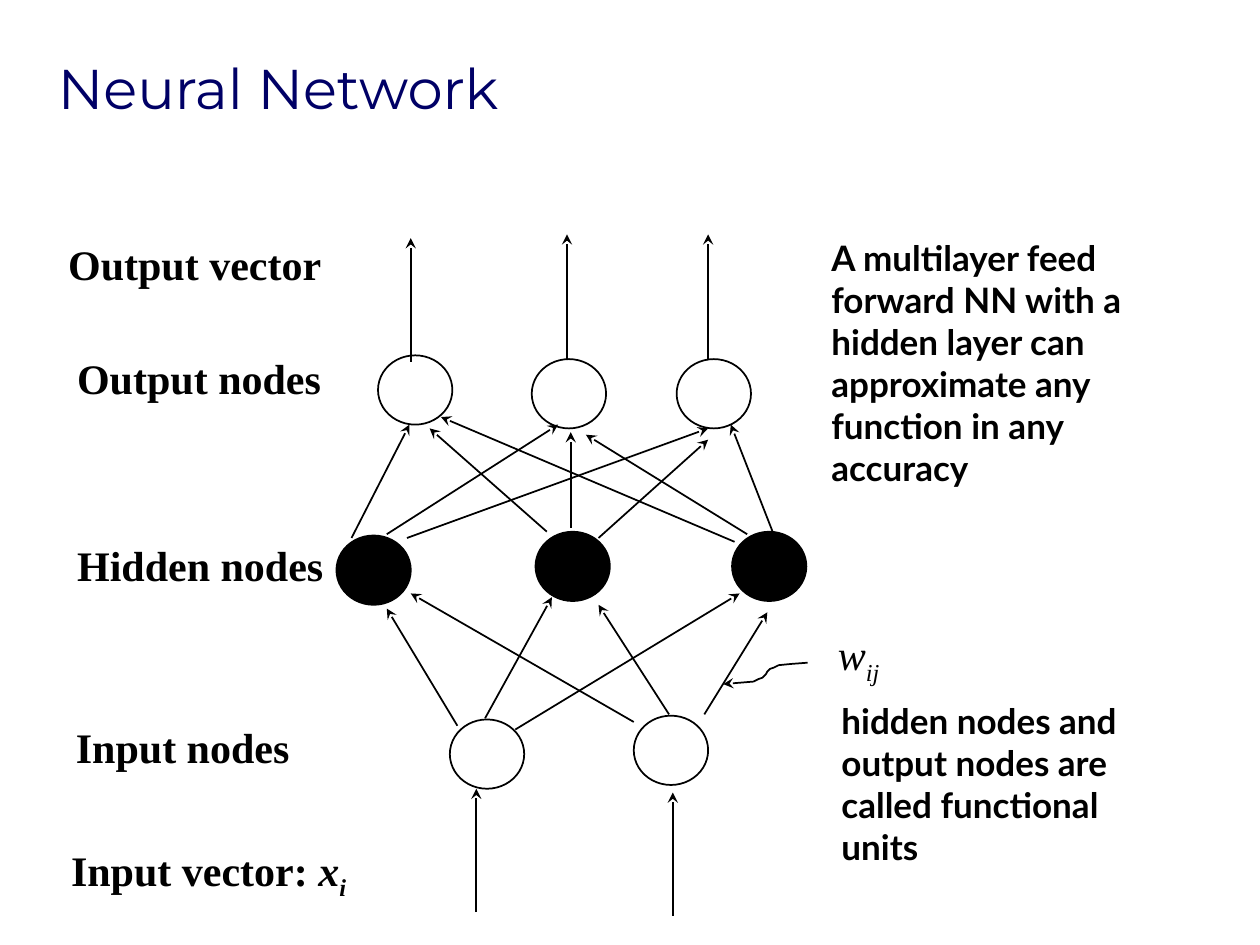
from lxml import etree
from pptx import Presentation
from pptx.dml.color import RGBColor
from pptx.enum.shapes import MSO_CONNECTOR, MSO_SHAPE
from pptx.enum.text import MSO_ANCHOR, MSO_AUTO_SIZE, PP_ALIGN
from pptx.oxml.ns import qn
from pptx.util import Emu, Pt

PX = 9144  # EMU in one px, 100 px to the inch
OVAL = MSO_SHAPE.OVAL
STRAIGHT = MSO_CONNECTOR.STRAIGHT
LEFT, CENTER = PP_ALIGN.LEFT, PP_ALIGN.CENTER
TOP, BOTTOM = MSO_ANCHOR.TOP, MSO_ANCHOR.BOTTOM
FIT_SHAPE = MSO_AUTO_SIZE.SHAPE_TO_FIT_TEXT
TITLE_ONLY = 5

NODE_WIDTH, NODE_HEIGHT = 59, 55
OUTPUT_NODES = [(300, 282), (422, 285), (537, 285)]
HIDDEN_NODES = [(425, 422), (581, 422), (267, 425)]
INPUT_NODES = [(357, 571), (503, 568)]

# Arrows: start x, start y, end x, end y
INPUT_TO_HIDDEN = [
    (363, 576, 307, 483), (385, 570, 438, 474), (409, 579, 587, 471),
    (503, 573, 326, 471), (531, 567, 475, 480), (559, 567, 609, 486),
]
HIDDEN_TO_OUTPUT = [
    (279, 427, 325, 337), (307, 424, 443, 337), (323, 427, 562, 340),
    (583, 430, 350, 331), (614, 424, 580, 337), (593, 424, 465, 345),
    (434, 422, 341, 340), (453, 419, 453, 343), (475, 427, 562, 349),
]
# Vertical arrows: x, start y, end y
VECTOR_ARROWS = [
    (378, 724, 626), (534, 727, 629),
    (326, 287, 189), (450, 285, 186), (562, 285, 186),
]
WEIGHT_POINTER = [
    (641, 526), (628, 527), (618, 528), (614, 530), (611, 531), (609, 533),
    (608, 535), (607, 536), (605, 538), (602, 539), (598, 541), (586, 542),
    (574, 543),
]

LABELS = [
    ("Output nodes", (51, 275, 214, 50)),
    ("Input nodes", (50, 568, 190, 50)),
    ("Hidden nodes", (51, 423, 216, 50)),
    ("Output vector", (44, 184, 221, 50)),
]
NOTES = [
    ("A multilayer feed forward NN with a hidden layer can approximate "
     "any function in any accuracy", (650, 183, 277, 210)),
    ("hidden nodes and output nodes are called functional units",
     (658, 550, 277, 144)),
]


def color(hex_string):
    return RGBColor.from_string(hex_string)


class NetworkSlide:
    title_font, label_font, note_font = "Montserrat", "Times New Roman", "Lato"
    title_color, ink = "000066", "000000"
    title_size, label_size, note_size = 32, 24, 20
    line_width = 1

    def __init__(self, presentation):
        layout = presentation.slide_layouts[TITLE_ONLY]
        self.slide = presentation.slides.add_slide(layout)
        self.diagram = self.slide.shapes.add_group_shape().shapes

    def add_run(self, paragraph, text, font, size, ink,
                bold=False, italic=False, subscript=False):
        run = paragraph.add_run()
        run.text = text
        run.font.name = font
        run.font.size = Pt(size)
        run.font.color.rgb = color(ink)
        run.font.bold, run.font.italic = bold, italic
        if subscript:
            run._r.get_or_add_rPr().set("baseline", "-25000")

    def style_line(self, shape, arrow=False):
        shape.line.color.rgb = color(self.ink)
        shape.line.width = Pt(self.line_width)
        if arrow:
            line = shape.line._get_or_add_ln()
            etree.SubElement(line, qn("a:tailEnd"), type="stealth")

    def title(self, text, box):
        shape = self.slide.shapes.title
        shape.left, shape.top, shape.width, shape.height = (
            Emu(value * PX) for value in box)
        frame = shape.text_frame
        frame.vertical_anchor = BOTTOM
        frame.auto_size = MSO_AUTO_SIZE.NONE
        paragraph = frame.paragraphs[0]
        paragraph.alignment = LEFT
        self.add_run(paragraph, text, self.title_font, self.title_size,
                     self.title_color)

    def text_box(self, box, alignment, wrap):
        shape = self.slide.shapes.add_textbox(*(value * PX for value in box))
        frame = shape.text_frame
        frame.word_wrap = wrap
        frame.auto_size = FIT_SHAPE
        frame.vertical_anchor = TOP
        paragraph = frame.paragraphs[0]
        paragraph.alignment = alignment
        return paragraph

    def label(self, box, *runs):
        paragraph = self.text_box(box, CENTER, False)
        for text, style in runs:
            self.add_run(paragraph, text, self.label_font, self.label_size,
                         self.ink, **style)

    def note(self, text, box):
        paragraph = self.text_box(box, LEFT, True)
        self.add_run(paragraph, text, self.note_font, self.note_size,
                     self.ink, bold=True)

    def node(self, left, top, filled=False):
        shape = self.diagram.add_shape(
            OVAL, left * PX, top * PX, NODE_WIDTH * PX, NODE_HEIGHT * PX)
        shape.shadow.inherit = False
        if filled:
            shape.fill.solid()
            shape.fill.fore_color.rgb = color(self.ink)
        else:
            shape.fill.background()
        self.style_line(shape)

    def arrow(self, *ends):
        connector = self.diagram.add_connector(
            STRAIGHT, *(value * PX for value in ends))
        self.style_line(connector, arrow=True)
        etree.SubElement(connector._element.spPr, qn("a:effectLst"))

    def curved_arrow(self, points):
        builder = self.slide.shapes.build_freeform(*points[0], scale=PX)
        builder.add_line_segments(points[1:], close=False)
        shape = builder.convert_to_shape()
        shape.shadow.inherit = False
        shape.fill.background()
        self.style_line(shape, arrow=True)


def main():
    presentation = Presentation()
    presentation.slide_width = Emu(1000 * PX)
    presentation.slide_height = Emu(750 * PX)
    network = NetworkSlide(presentation)
    network.title("Neural Network", (36, 43, 633, 58))

    # Nodes of the three layers
    for position in OUTPUT_NODES:
        network.node(*position)
    for position in HIDDEN_NODES:
        network.node(*position, filled=True)
    for position in INPUT_NODES:
        network.node(*position)

    # Links between layers, then the vectors going in and out
    for ends in INPUT_TO_HIDDEN + HIDDEN_TO_OUTPUT:
        network.arrow(*ends)
    for x, start, end in VECTOR_ARROWS:
        network.arrow(x, start, x, end)

    # Layer labels
    bold = {"bold": True}
    for text, box in LABELS:
        network.label(box, (text, bold))
    network.label((46, 665, 239, 56), ("Input vector: ", bold),
                  ("x", {"bold": True, "italic": True}),
                  ("i", {"bold": True, "italic": True, "subscript": True}))

    # Weight symbol and its pointer
    network.label((655, 494, 53, 56), ("w", {"italic": True}),
                  ("ij", {"italic": True, "subscript": True}))
    network.curved_arrow(WEIGHT_POINTER)

    # Notes on the right
    for text, box in NOTES:
        network.note(text, box)

    presentation.save("out.pptx")


if __name__ == "__main__":
    main()
